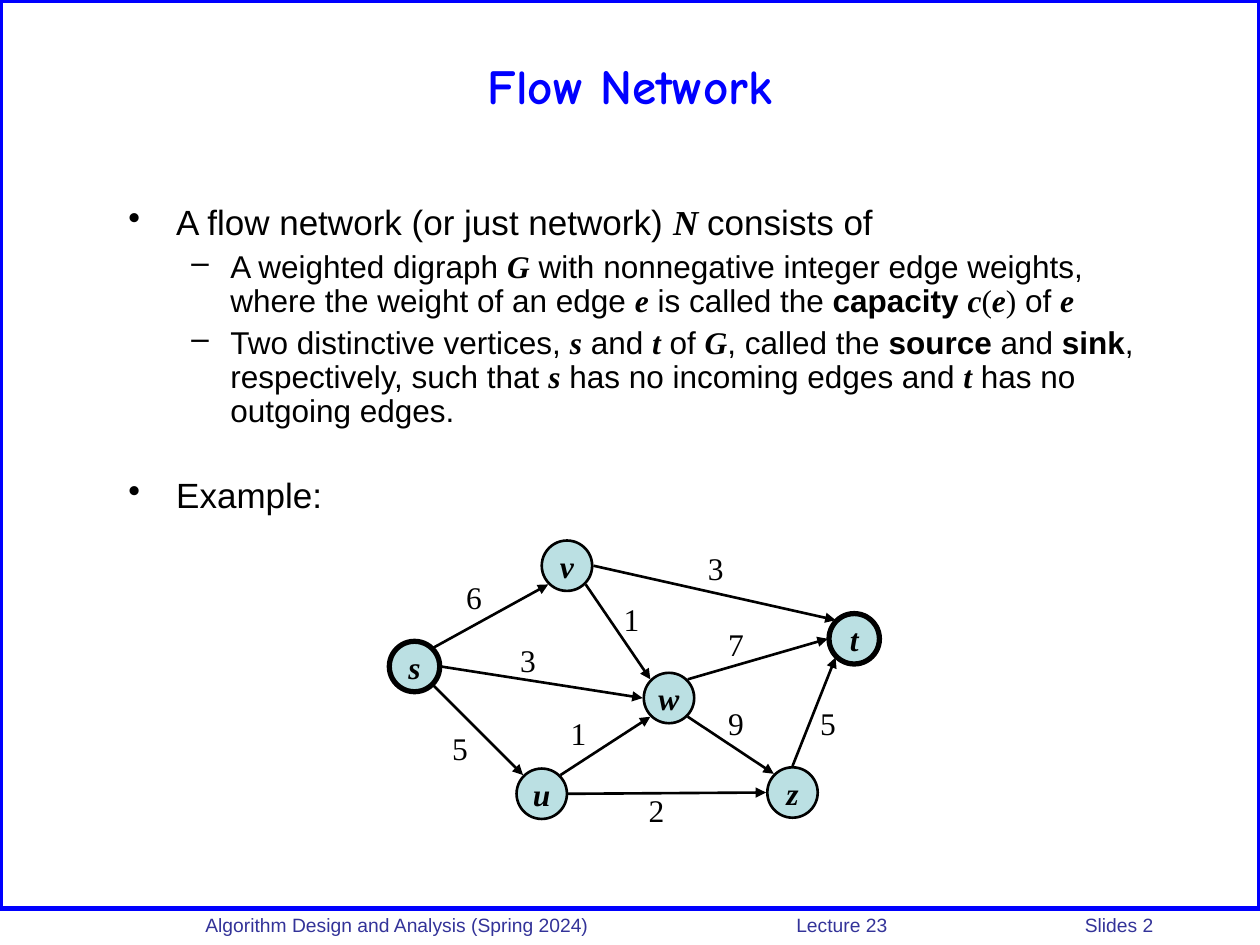
from dataclasses import dataclass
from math import cos, radians, sin

from lxml.etree import SubElement
from pptx import Presentation
from pptx.dml.color import RGBColor
from pptx.enum.shapes import MSO_CONNECTOR, MSO_SHAPE
from pptx.enum.text import MSO_ANCHOR, MSO_AUTO_SIZE, PP_ALIGN
from pptx.oxml.ns import qn
from pptx.util import Inches, Pt


@dataclass(frozen=True)
class Theme:
    blue: RGBColor = RGBColor(0x00, 0x00, 0xFF)
    navy: RGBColor = RGBColor(0x33, 0x33, 0x99)
    black: RGBColor = RGBColor(0x00, 0x00, 0x00)
    vertex: RGBColor = RGBColor(0xBB, 0xE0, 0xE3)
    title_font: str = "Comic Neue"
    text_font: str = "Arial"
    math_font: str = "Times New Roman"
    title_size: int = 28
    body_size: int = 20
    detail_size: int = 18
    footer_size: int = 11
    thin: float = 1.5
    thick: float = 3


@dataclass(frozen=True)
class Face:
    name: str
    bold: bool = False
    italic: bool = False


THEME = Theme()
PLAIN = Face(THEME.text_font)
STRONG = Face(THEME.text_font, bold=True)
ROMAN = Face(THEME.math_font)
MATH = Face(THEME.math_font, bold=True, italic=True)

# Level, space before in points, runs
DEFINITION = [
    (0, 0, [("A flow network (or just network) ", PLAIN), ("N ", MATH),
            ("consists of", PLAIN)]),
    (1, 4.5, [("A weighted digraph ", PLAIN), ("G", MATH),
              (" with nonnegative integer edge weights, where the weight of an edge ", PLAIN),
              ("e", MATH), (" is called the ", PLAIN), ("capacity ", STRONG), ("c", MATH),
              ("(", ROMAN), ("e", MATH), (")", ROMAN), (" of ", PLAIN), ("e", MATH)]),
    (1, 4.5, [("Two distinctive vertices, ", PLAIN), ("s", MATH), (" and ", PLAIN),
              ("t", MATH), (" of ", PLAIN), ("G", MATH), (", called the ", PLAIN),
              ("source", STRONG), (" and ", PLAIN), ("sink", STRONG),
              (", respectively, such that ", PLAIN), ("s", MATH),
              (" has no incoming edges and ", PLAIN), ("t", MATH),
              (" has no outgoing edges.", PLAIN)]),
    (0, 28, [("Example:", PLAIN)]),
]
# Bullet, left margin, hanging indent, type size
LEVELS = [("•", 0.38, 0.38, THEME.body_size), ("–", 0.81, 0.31, THEME.detail_size)]

VERTEX_SIZE = 0.4
EDGE_RADIUS = 0.21
CENTRES = {"w": (5.31, 5.54), "s": (3.29, 5.29), "v": (4.5, 4.49),
           "u": (4.3, 6.3), "t": (6.78, 5.07), "z": (6.29, 6.29)}
TERMINALS = "st"
BEARINGS = {side: 45 * step for step, side in
            enumerate(("E", "SE", "S", "SW", "W", "NW", "N", "NE"))}
# Tail vertex and side, head vertex and side, capacity, centre of the capacity
EDGES = [
    ("s", "NE", "v", "SW", 6, (3.76, 4.74)),
    ("s", "SE", "u", "NW", 5, (3.65, 5.94)),
    ("v", "SE", "w", "NW", 1, (5.01, 4.91)),
    ("v", "E", "t", "NW", 3, (5.68, 4.51)),
    ("w", "NE", "t", "W", 7, (5.84, 5.11)),
    ("w", "SE", "z", "NW", 9, (5.84, 5.74)),
    ("z", "N", "t", "SW", 5, (6.57, 5.74)),
    ("u", "E", "z", "W", 2, (5.21, 6.43)),
    ("u", "NE", "w", "SW", 1, (4.59, 5.82)),
    ("s", "E", "w", "W", 3, (4.19, 5.24)),
]


def edge_end(vertex, side):
    """Point just outside a vertex on the given compass side."""
    x, y = CENTRES[vertex]
    angle = radians(BEARINGS[side])
    return x + EDGE_RADIUS * cos(angle), y + EDGE_RADIUS * sin(angle)


class SlideBuilder:
    def __init__(self, slide, theme):
        self.slide = slide
        self.theme = theme

    def set_font(self, font, face, size, color):
        font.name, font.bold, font.italic = face.name, face.bold, face.italic
        font.size = Pt(size)
        font.color.rgb = color

    def outline(self, shape, color, width):
        shape.line.color.rgb = color
        shape.line.width = Pt(width)

    def text_box(self, x, y, width, height):
        box = self.slide.shapes.add_textbox(*map(Inches, (x, y, width, height)))
        box.text_frame.word_wrap = True
        return box.text_frame

    def frame(self, x, y, width, height):
        border = self.slide.shapes.add_shape(
            MSO_SHAPE.RECTANGLE, *map(Inches, (x, y, width, height)))
        border.shadow.inherit = False
        border.fill.background()
        self.outline(border, self.theme.blue, self.theme.thick)

    def title(self, text, x, y, width, height):
        heading = self.slide.shapes.title
        heading.left, heading.top, heading.width, heading.height = map(
            Inches, (x, y, width, height))
        heading.text_frame.text = text
        heading.text_frame.auto_size = MSO_AUTO_SIZE.NONE
        heading.text_frame.vertical_anchor = MSO_ANCHOR.MIDDLE
        line = heading.text_frame.paragraphs[0]
        line.alignment = PP_ALIGN.CENTER
        self.set_font(line.font, Face(self.theme.title_font, bold=True),
                      self.theme.title_size, self.theme.blue)

    def footer(self, parts, stops):
        """Write the parts on one line, each after the first at a tab stop."""
        strip = self.text_box(1.33, 7.2, 8.67, 0.26)
        strip.margin_left = Inches(0.3)
        line = strip.paragraphs[0]
        line.add_run().text = "\t".join(parts)
        tabs = SubElement(line._p.get_or_add_pPr(), qn("a:tabLst"))
        for stop in stops:
            SubElement(tabs, qn("a:tab"), pos=str(Inches(stop)), algn="l")
        self.set_font(line.font, PLAIN, self.theme.footer_size, self.theme.navy)

    def bullets(self, items, x, y, width, height):
        body = self.text_box(x, y, width, height)
        for index, (level, space, runs) in enumerate(items):
            item = body.add_paragraph() if index else body.paragraphs[0]
            mark, margin, hanging, size = LEVELS[level]
            item.level = level
            item.line_spacing = 0.9
            item.space_before = Pt(space)
            properties = item._p.get_or_add_pPr()
            properties.set("marL", str(Inches(margin)))
            properties.set("indent", str(-Inches(hanging)))
            SubElement(properties, qn("a:buChar"), char=mark)
            self.set_font(item.font, PLAIN, size, self.theme.black)
            for text, face in runs:
                run = item.add_run()
                run.text = text
                if face != PLAIN:
                    self.set_font(run.font, face, size, self.theme.black)

    def centred_text(self, frame, text, face):
        frame.word_wrap = False
        frame.text = text
        line = frame.paragraphs[0]
        line.alignment = PP_ALIGN.CENTER
        self.set_font(line.font, face, self.theme.detail_size, self.theme.black)

    def vertex(self, name, x, y):
        corner = (x - VERTEX_SIZE / 2, y - VERTEX_SIZE / 2)
        circle = self.slide.shapes.add_shape(
            MSO_SHAPE.OVAL, *map(Inches, (*corner, VERTEX_SIZE, VERTEX_SIZE)))
        circle.shadow.inherit = False
        circle.fill.solid()
        circle.fill.fore_color.rgb = self.theme.vertex
        width = self.theme.thick if name in TERMINALS else self.theme.thin
        self.outline(circle, self.theme.black, width)
        circle.text_frame.vertical_anchor = MSO_ANCHOR.MIDDLE
        self.centred_text(circle.text_frame, name, MATH)

    def capacity(self, value, x, y):
        label = self.text_box(x - 0.16, y - 0.2, 0.32, 0.4)
        self.centred_text(label, str(value), ROMAN)

    def arrow(self, start, end):
        edge = self.slide.shapes.add_connector(
            MSO_CONNECTOR.STRAIGHT, *map(Inches, (*start, *end)))
        self.outline(edge, self.theme.black, self.theme.thin)
        SubElement(edge.line._get_or_add_ln(), qn("a:tailEnd"), type="triangle")
        SubElement(edge._element.spPr, qn("a:effectLst"))


def main():
    deck = Presentation()
    deck.slide_width, deck.slide_height = Inches(10), Inches(7.5)
    page = SlideBuilder(deck.slides.add_slide(deck.slide_layouts[5]), THEME)
    page.frame(0, 0, 10, 7.21)
    page.footer(["Algorithm Design and Analysis (Spring 2024)", "Lecture 23", "Slides 2"],
                [4.69, 6.98])
    page.title("Flow Network", 0.5, 0.17, 9, 1)
    page.bullets(DEFINITION, 0.92, 1.58, 8.5, 2.67)
    for name, centre in CENTRES.items():
        page.vertex(name, *centre)
    for tail, exit_side, head, entry_side, value, place in EDGES:
        page.capacity(value, *place)
        page.arrow(edge_end(tail, exit_side), edge_end(head, entry_side))
    deck.save("out.pptx")


if __name__ == "__main__":
    main()
